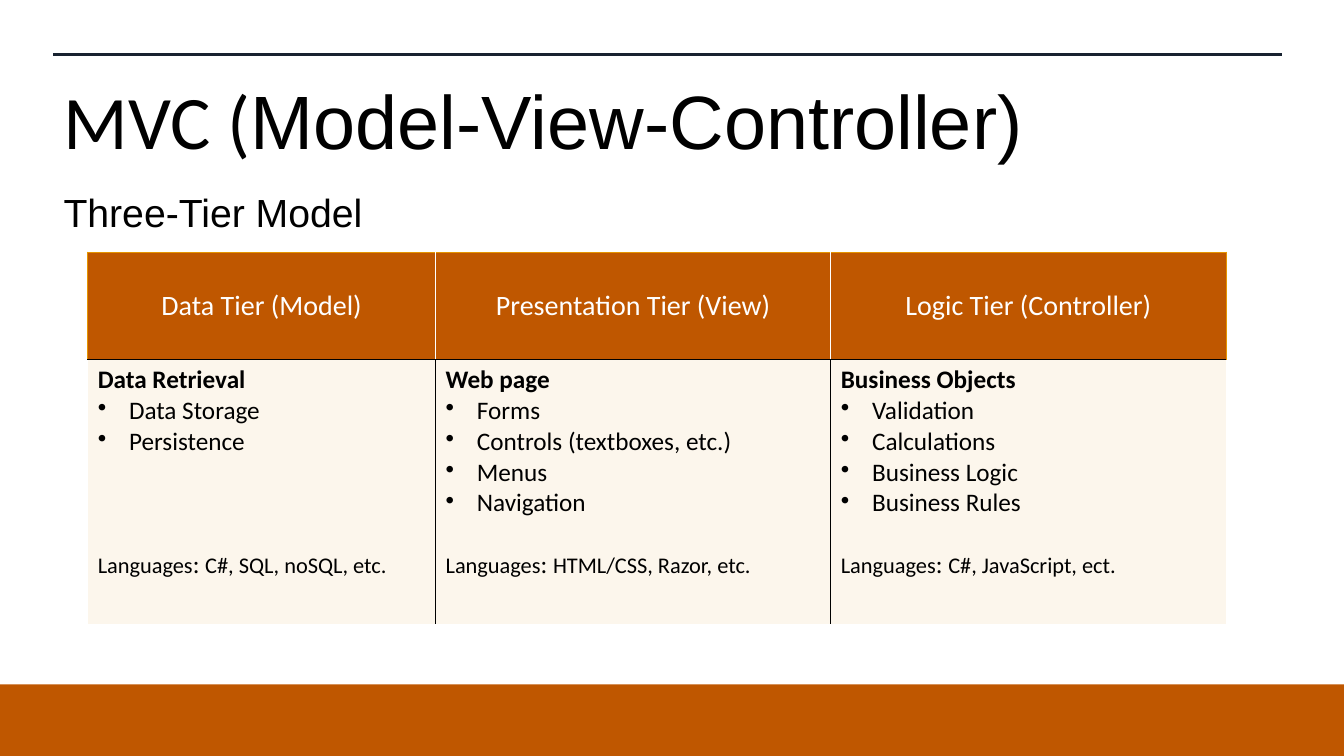
import pptx
import pptx.util
import pptx.dml.color
import pptx.enum.shapes
import pptx.enum.text
import pptx.oxml
import pptx.oxml.ns
import pptx.oxml.xmlchemy

Inches = pptx.util.Inches
Pt = pptx.util.Pt
ALIGN = pptx.enum.text.PP_ALIGN
ANCHOR = pptx.enum.text.MSO_ANCHOR

COLORS = {
    "rule": "182230",
    "orange": "BF5700",
    "gold": "E69500",
    "cream": "FCF6EC",
    "black": "000000",
    "white": "FFFFFF",
}
FORMATS = {
    "header": {"size": Pt(20), "name": "Calibri", "bold": False},
    "heading": {"size": Pt(18), "name": "Calibri", "bold": True},
    "item": {"size": Pt(18), "name": "Calibri", "bold": False},
    "note": {"size": Pt(16), "name": "Calibri", "bold": False},
    "title": {"size": Pt(54), "name": "Calibri"},
    "title_tail": {"size": Pt(54), "name": "Arial"},
    "subtitle": {"size": Pt(28), "name": "Arial"},
}
TIERS = [
    ("Data Tier (Model)", 3.45, "Data Retrieval",
     ["Data Storage", "Persistence"], "C#, SQL, noSQL, etc."),
    ("Presentation Tier (View)", 3.92, "Web page",
     ["Forms", "Controls (textboxes, etc.)", "Menus", "Navigation"],
     "HTML/CSS, Razor, etc."),
    ("Logic Tier (Controller)", 3.92, "Business Objects",
     ["Validation", "Calculations", "Business Logic", "Business Rules"],
     "C#, JavaScript, ect."),
]
ROW_HEIGHTS = [1.07, 2.62]
LINE_HEIGHT = 22   # points taken by one 18 pt line
NOTE_LINE = 5      # lines between the heading and the languages note


def rgb(name):
    return pptx.dml.color.RGBColor.from_string(COLORS[name])


def add_span(para, text, style, color="black"):
    span = para.add_run()
    span.text = text
    for key, value in FORMATS[style].items():
        setattr(span.font, key, value)
    span.font.color.rgb = rgb(color)


def set_bullet(para, mark=None, indent=0.0):
    properties = para._p.get_or_add_pPr()
    properties.set("marL", str(Inches(indent)))
    properties.set("indent", str(-Inches(indent)))
    tag = "a:buChar" if mark else "a:buNone"
    bullet = pptx.oxml.xmlchemy.OxmlElement(tag)
    if mark:
        bullet.set("char", mark)
    properties.append(bullet)


def set_borders(cell, borders):
    """Borders map a side (L, R, T, B) to a colour name and a width in points."""
    properties = cell._tc.get_or_add_tcPr()
    for position, side in enumerate("LRTB"):
        color, width = borders.get(side, (None, 1))
        fill = (f'<a:solidFill><a:srgbClr val="{COLORS[color]}"/></a:solidFill>'
                if color else "<a:noFill/>")
        line = pptx.oxml.parse_xml(
            f'<a:ln{side} {pptx.oxml.ns.nsdecls("a")} w="{Pt(width)}">{fill}</a:ln{side}>')
        properties.insert(position, line)


def place(shape, box):
    for key, value in zip(("left", "top", "width", "height"), box):
        setattr(shape, key, Inches(value))


def add_frame(page, width, height):
    # Rule along the top
    margin, top = 0.53, 0.54
    rule = page.shapes.add_connector(
        pptx.enum.shapes.MSO_CONNECTOR.STRAIGHT,
        Inches(margin), Inches(top), Inches(12.72), Inches(top))
    rule.line.color.rgb = rgb("rule")
    rule.line.width = Pt(2.25)
    rule._element.spPr.append(pptx.oxml.xmlchemy.OxmlElement("a:effectLst"))

    # Band along the bottom
    band_height = 0.71
    band = page.shapes.add_shape(
        pptx.enum.shapes.MSO_SHAPE.RECTANGLE,
        0, Inches(height - band_height), Inches(width), Inches(band_height))
    band.shadow.inherit = False
    band.fill.solid()
    band.fill.fore_color.rgb = rgb("orange")
    band.line.fill.background()


def fill_placeholder(shape, box, spans, anchor):
    place(shape, box)
    frame = shape.text_frame
    frame.auto_size = pptx.enum.text.MSO_AUTO_SIZE.NONE
    frame.word_wrap = True
    frame.vertical_anchor = anchor
    para = frame.paragraphs[0]
    para.alignment = ALIGN.LEFT
    for text, style in spans:
        add_span(para, text, style)
    return para


def fill_header(cell, text, first, last):
    cell.fill.solid()
    cell.fill.fore_color.rgb = rgb("orange")
    cell.vertical_anchor = ANCHOR.MIDDLE
    para = cell.text_frame.paragraphs[0]
    para.alignment = ALIGN.CENTER
    add_span(para, text, "header", "white")
    outer, inner = ("gold", 0.5), ("white", 1)
    set_borders(cell, {"L": outer if first else inner,
                       "R": outer if last else inner,
                       "T": outer, "B": ("black", 1)})


def fill_details(cell, heading, items, languages, first, last):
    cell.fill.solid()
    cell.fill.fore_color.rgb = rgb("cream")
    frame = cell.text_frame
    add_span(frame.paragraphs[0], heading, "heading")
    for item in items:
        para = frame.add_paragraph()
        set_bullet(para, "•", 0.31)
        add_span(para, item, "item")

    # The languages note stands on the same line in every column
    note = frame.add_paragraph()
    note.space_before = Pt(LINE_HEIGHT * (NOTE_LINE - len(items)))
    for text, style in (("Languages", "note"), (": ", "item"), (languages, "note")):
        add_span(note, text, style)

    edge = ("black", 1)
    borders = {"T": edge}
    if not first:
        borders["L"] = edge
    if not last:
        borders["R"] = edge
    set_borders(cell, borders)


def add_tier_table(page, left, top):
    width = sum(tier[1] for tier in TIERS)
    table = page.shapes.add_table(
        len(ROW_HEIGHTS), len(TIERS), Inches(left), Inches(top),
        Inches(width), Inches(sum(ROW_HEIGHTS))).table
    table.horz_banding = False
    for row, height in zip(table.rows, ROW_HEIGHTS):
        row.height = Inches(height)
    for index, (name, column_width, heading, items, languages) in enumerate(TIERS):
        first, last = index == 0, index == len(TIERS) - 1
        table.columns[index].width = Inches(column_width)
        fill_header(table.cell(0, index), name, first, last)
        fill_details(table.cell(1, index), heading, items, languages, first, last)


def main():
    width, height = 13.33, 7.5
    deck = pptx.Presentation()
    deck.slide_width, deck.slide_height = Inches(width), Inches(height)
    page = deck.slides.add_slide(deck.slide_layouts[1])

    add_frame(page, width, height)
    fill_placeholder(
        page.shapes.title, (0.53, 0.73, 11.63, 0.91),
        [("MVC (", "title"), ("Model-View-Controller)", "title_tail")], ANCHOR.MIDDLE)
    subtitle = fill_placeholder(
        page.placeholders[1], (0.53, 1.82, 11.49, 4.61),
        [("Three-Tier Model", "subtitle")], ANCHOR.TOP)
    subtitle.space_before = Pt(10)
    set_bullet(subtitle)
    add_tier_table(page, 0.87, 2.5)

    deck.save("out.pptx")


if __name__ == "__main__":
    main()
